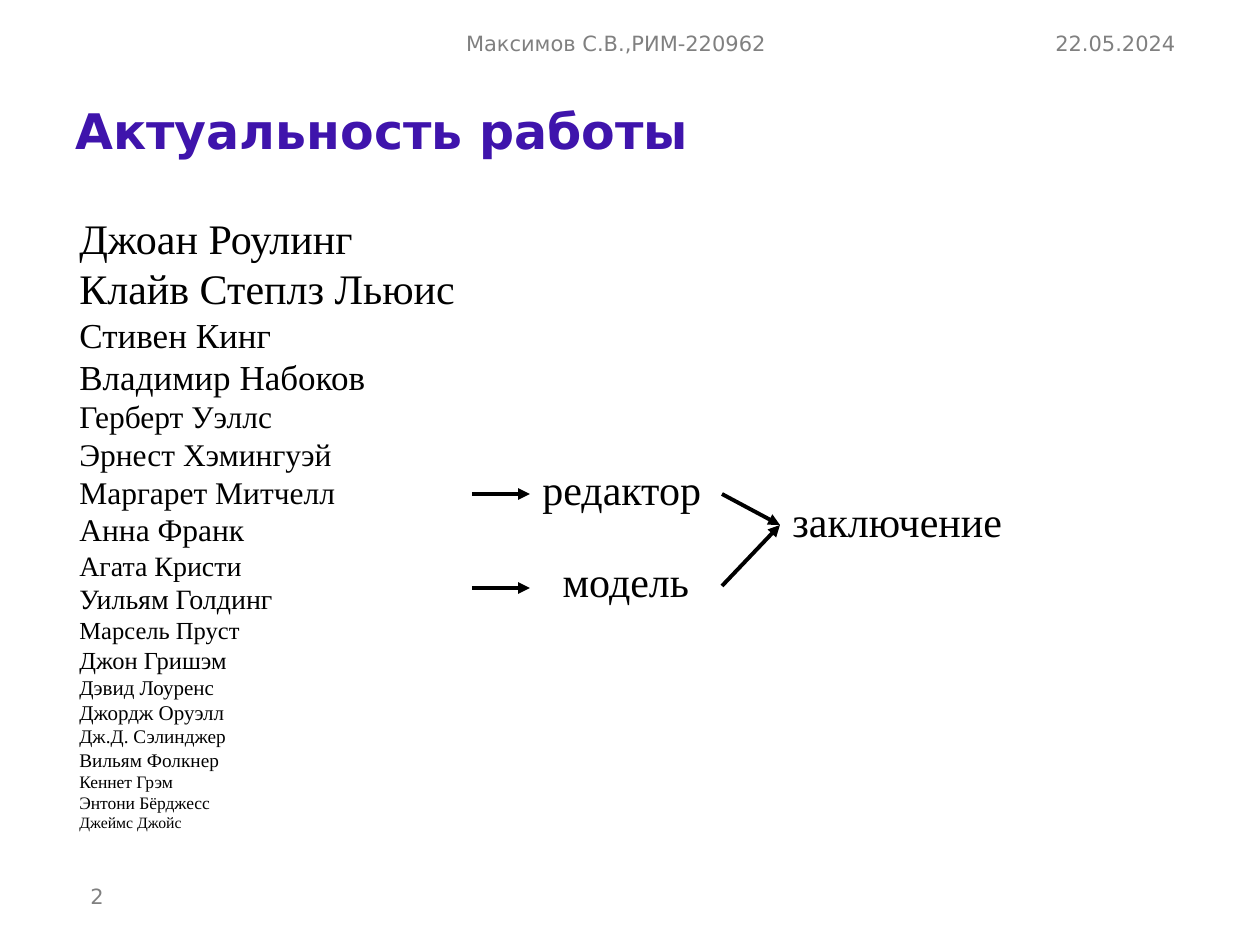
from lxml import etree
from pptx import Presentation
from pptx import util as u
from pptx.dml.color import RGBColor
from pptx.enum import shapes, text
from pptx.oxml.ns import qn

PX = 914400 // 126
COLORS = {"title": "3F14AC", "muted": "808080", "ink": "000000"}
SANS, SERIF = "DejaVu Sans", "Times New Roman"

TITLE = "Актуальность работы"
PAGE_NUMBER = "2"
HEADER = [
    ("22.05.2024", (1007, 24, 181, 38), "RIGHT"),
    ("Максимов С.В.,РИМ-220962", (270, 24, 692, 38), "CENTER"),
]
AUTHORS_BY_SIZE = {
    24: ["Джоан Роулинг", "Клайв Степлз Льюис"],
    20: ["Стивен Кинг", "Владимир Набоков"],
    18: ["Герберт Уэллс", "Эрнест Хэмингуэй", "Маргарет Митчелл", "Анна Франк"],
    16: ["Агата Кристи", "Уильям Голдинг"],
    14: ["Марсель Пруст", "Джон Гришэм"],
    12: ["Дэвид Лоуренс", "Джордж Оруэлл"],
    11: ["Дж.Д. Сэлинджер", "Вильям Фолкнер"],
    10: ["Кеннет Грэм", "Энтони Бёрджесс"],
    9: ["Джеймс Джойс"],
}
STAGES = [
    ("редактор", (530, 457, 192, 73), "LEFT"),
    ("модель", (530, 549, 192, 73), "CENTER"),
    ("заключение", (780, 489, 272, 73), "LEFT"),
]
ARROWS = [
    (472, 494, 530, 494),
    (722, 494, 780, 525),
    (472, 588, 530, 588),
    (722, 586, 780, 525),
]


def px(*lengths):
    return [length * PX for length in lengths]


def write(box, lines, font=SERIF, color="ink", bold=False, align="LEFT",
          anchor="TOP", spacing=1.0, after=0):
    frame = box.text_frame
    frame.word_wrap = True
    frame.auto_size = text.MSO_AUTO_SIZE.NONE
    frame.vertical_anchor = text.MSO_ANCHOR[anchor]
    for index, (words, size) in enumerate(lines):
        line = frame.add_paragraph() if index else frame.paragraphs[0]
        line.alignment = text.PP_ALIGN[align]
        line.line_spacing = spacing
        line.space_before, line.space_after = u.Pt(0), u.Pt(after)
        run = line.add_run()
        run.text = words
        run.font.name, run.font.size, run.font.bold = font, u.Pt(size), bold
        run.font.color.rgb = RGBColor.from_string(COLORS[color])


deck = Presentation()
deck.slide_width, deck.slide_height = px(1260, 945)
slide = deck.slides.add_slide(deck.slide_layouts[5])

title = slide.shapes.title
title.left, title.top, title.width, title.height = px(63, 85, 1125, 97)
write(title, [(TITLE, 28)], font=SANS, color="title", bold=True,
      anchor="MIDDLE", spacing=0.9)

for words, place, align in HEADER:
    write(slide.shapes.add_textbox(*px(*place)), [(words, 12)], font=SANS,
          color="muted", align=align, anchor="MIDDLE", after=6)

page = slide.shapes.add_shape(shapes.MSO_SHAPE.RECTANGLE, *px(63, 870, 68, 53))
page.shadow.inherit = False
page.fill.background()
page.line.fill.background()
write(page, [(PAGE_NUMBER, 12)], font=SANS, color="muted", align="CENTER",
      anchor="MIDDLE", after=6)

authors = [(name, size) for size, names in AUTHORS_BY_SIZE.items() for name in names]
write(slide.shapes.add_textbox(*px(67, 206, 404, 636)), authors)

for words, place, align in STAGES:
    write(slide.shapes.add_textbox(*px(*place)), [(words, 24)], align=align)

for ends in ARROWS:
    arrow = slide.shapes.add_connector(shapes.MSO_CONNECTOR.STRAIGHT, *px(*ends))
    arrow.line.width = u.Pt(2.25)
    arrow.line.color.rgb = RGBColor.from_string(COLORS["ink"])
    etree.SubElement(arrow.line._get_or_add_ln(), qn("a:tailEnd"), type="triangle")
    etree.SubElement(arrow._element.spPr, qn("a:effectLst"))

deck.save("out.pptx")
